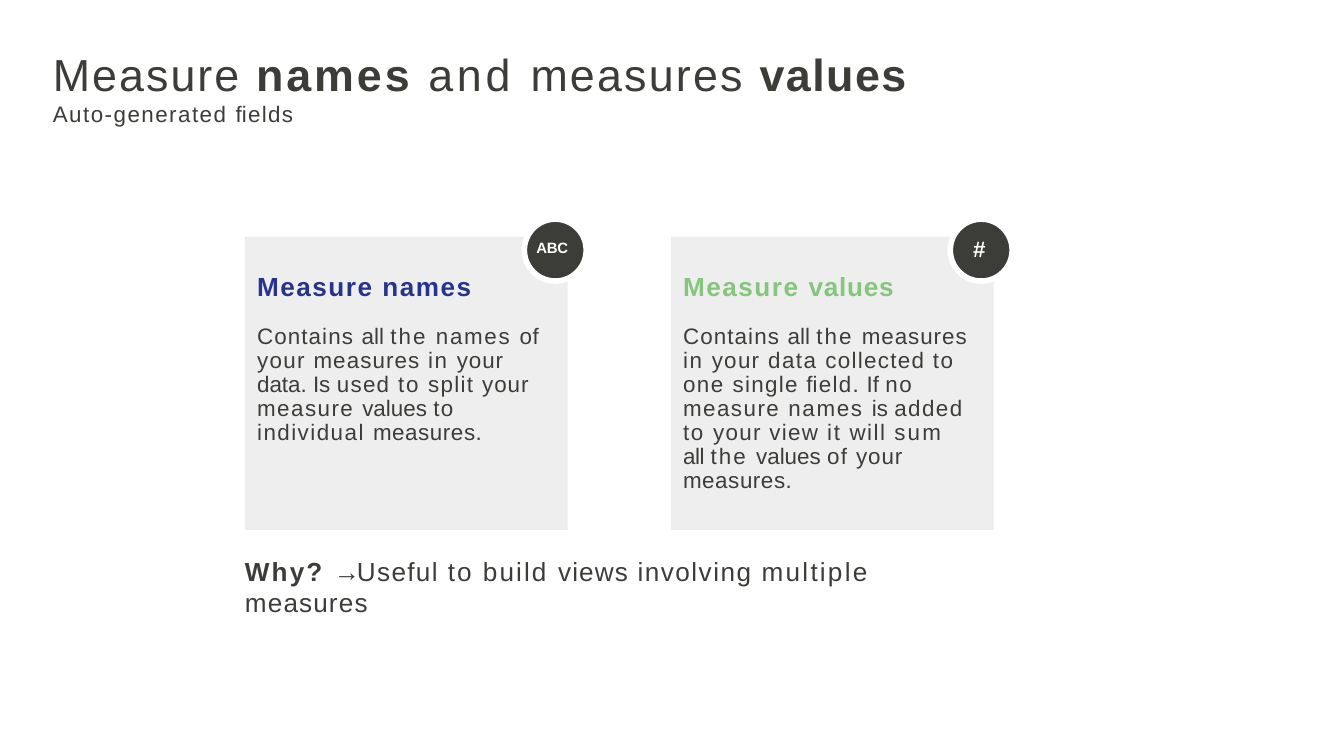
from pptx import Presentation
from pptx.dml.color import RGBColor
from pptx.enum.shapes import MSO_SHAPE as Shape
from pptx.util import Cm, Pt

DARK, PANEL, WHITE = "3C3C39", "EEEEEE", "FFFFFF"
PITCH = 8.05


def rgb(value):
    return RGBColor.from_string(value)


class Deck:
    """Holds the style and the current slide."""

    font = "Arial"

    def __init__(self, width, height):
        self.prs = Presentation()
        self.prs.slide_width, self.prs.slide_height = Cm(width), Cm(height)
        self.s = self.prs.slides.add_slide(self.prs.slide_layouts[6])

    def shape(self, kind, x, y, w, h, fill, line=None):
        sp = self.s.shapes.add_shape(kind, Cm(x), Cm(y), Cm(w), Cm(h))
        sp.shadow.inherit = False
        sp.fill.solid()
        sp.fill.fore_color.rgb = rgb(fill)
        if line:
            sp.line.color.rgb = rgb(line)
            sp.line.width = Pt(3)
        else:
            sp.line.fill.background()

    def text_box(self, x, y, w, h):
        tf = self.s.shapes.add_textbox(Cm(x), Cm(y), Cm(w), Cm(h)).text_frame
        tf.word_wrap = True
        tf.margin_left = tf.margin_top = Cm(0.03)
        tf.margin_right = tf.margin_bottom = 0
        return tf

    def paragraph(self, tf, runs, size, color=DARK, bold=False, leading=None, before=None):
        """Write runs of (text, letter spacing in points[, bold])."""
        p = tf.paragraphs[0] if not tf.text else tf.add_paragraph()
        if leading:
            p.line_spacing = Pt(leading)
        if before:
            p.space_before = Pt(before)
        p.font.name, p.font.size = self.font, Pt(size)
        p.font.color.rgb = rgb(color)
        p.font.bold = bold
        for text, spacing, *strong in runs:
            r = p.add_run()
            r.text = text
            if strong:
                r.font.bold = strong[0]
            r._r.get_or_add_rPr().set("spc", str(round(spacing * 100)))

    def card(self, x, heading, color, body, text_width):
        self.shape(Shape.RECTANGLE, x, 4.47, 6.1, 5.54, PANEL)
        tf = self.text_box(x + 0.2, 5.07, text_width, 3.9)
        self.paragraph(tf, heading, 14, color, bold=True)
        self.paragraph(tf, body, 12, leading=12.8, before=12.9)

    def badge(self, x, label, size, spacing, label_box):
        self.shape(Shape.OVAL, x, 4.14, 1.17, 1.17, DARK, WHITE)
        self.paragraph(self.text_box(*label_box), [(label, spacing)], size, WHITE, bold=True)


NAMES = [
    ("Contains ", 0.6), ("all ", 0), ("the ", 1.1), ("names ", 0.9), ("of ", 0.4),
    ("your ", 0.7), ("measures ", 0.6), ("in ", 0.9), ("your ", 0.5), ("data. Is ", 0),
    ("used ", 0.7), ("to ", 0.9), ("split ", 0.7), ("your ", 0.5), ("measure ", 0.8),
    ("values ", 0), ("to ", 0.7), ("individual ", 0.8), ("measures.", 0.3),
]
VALUES = [
    ("Contains ", 0.6), ("all ", 0), ("the ", 1.1), ("measures ", 0.5), ("in ", 0.9),
    ("your ", 0.7), ("data ", 0.8), ("collected to ", 0.7), ("one ", 0.8),
    ("single ﬁeld.", 0.7), (" If ", 0), ("no measure ", 0.8), ("names ", 0.9), ("is ", 0),
    ("added ", 0.8), ("to ", 0.9), ("your view ", 0.7), ("it ", 0.9), ("will ", 0.8),
    ("sum ", 1.2), ("all ", -0.2), ("the ", 1.1), ("values ", 0), ("of ", 0.7),
    ("your ", 0.5), ("measures.", 0.3),
]


def main():
    deck = Deck(25.4, 14.28)

    title = deck.text_box(0.97, 0.87, 19.5, 1.57)
    deck.paragraph(title, [("Measure ", 1.1), ("names ", 1.6, True), ("and ", 2),
                           ("measures ", 1.2), ("values", 0.8, True)], 24, leading=28.4)
    deck.paragraph(title, [("Auto-generated ", 0.8), ("ﬁelds", 0.7)], 12, leading=13.9)

    left = 4.63
    deck.card(left, [("Measure names", 0.8)], "26358A", NAMES, 5.38)
    deck.card(left + PITCH, [("Measure ", 0.8), ("values", 0.4)], "85C57D", VALUES, 5.46)

    badge_left = 9.91
    deck.badge(badge_left, "ABC", 8, -0.2, (10.11, 4.48, 0.8, 0.4))
    deck.badge(badge_left + PITCH, "#", 12, 1.9, (18.36, 4.42, 0.45, 0.58))

    why = deck.text_box(4.6, 10.46, 14.17, 0.66)
    deck.paragraph(why, [("Why? ", 1.1, True), ("→ ", -5.6), ("Useful ", 0.7),
                         ("to build ", 1.1), ("views ", 0.6), ("involving ", 0.8),
                         ("multiple ", 1.2), ("measures", 0.6)], 14)

    deck.prs.save("out.pptx")


if __name__ == "__main__":
    main()
